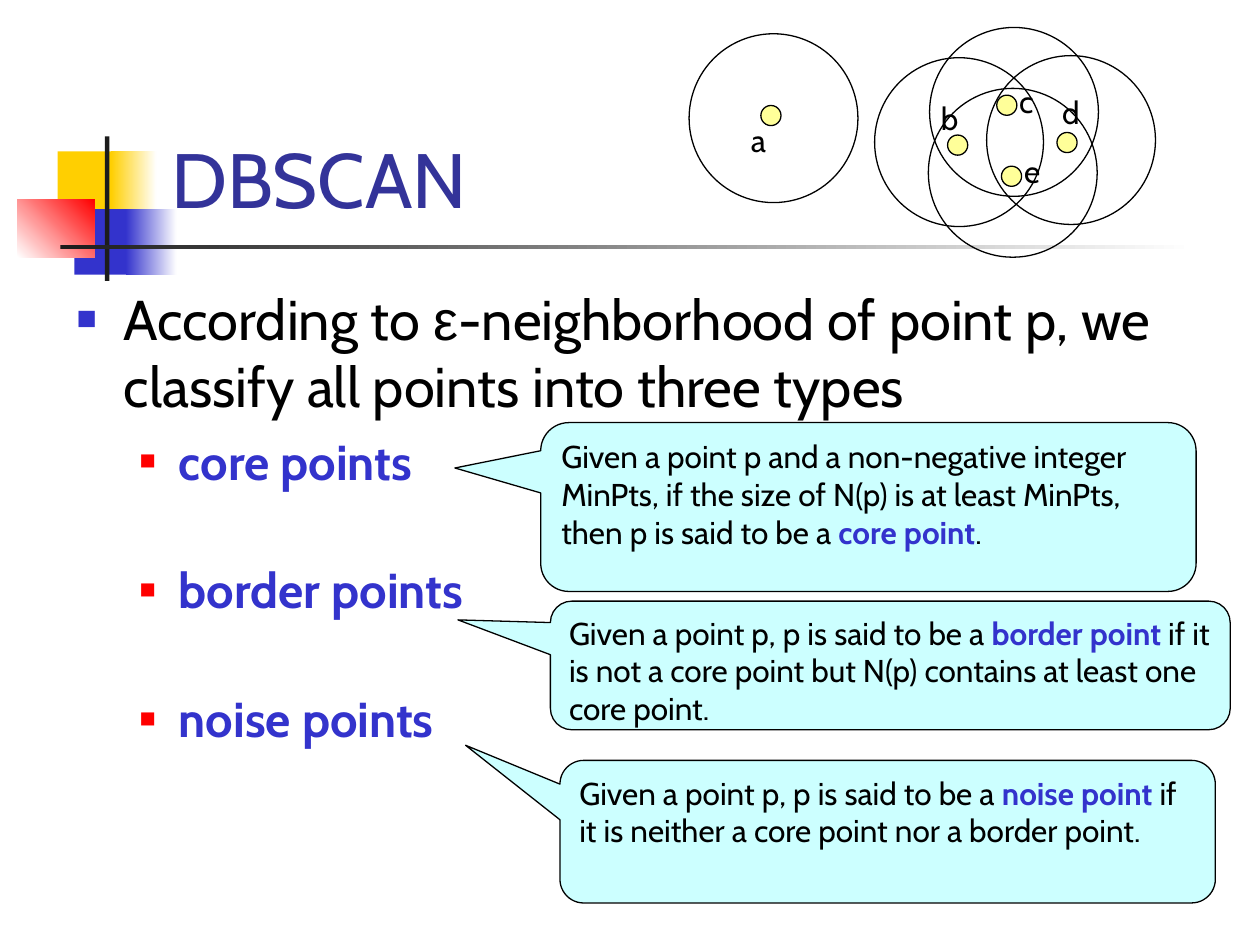
from lxml import etree
from pptx import Presentation
from pptx.dml.color import RGBColor
from pptx.enum.shapes import MSO_SHAPE
from pptx.enum.text import MSO_ANCHOR, MSO_AUTO_SIZE, PP_ALIGN
from pptx.oxml.ns import qn
from pptx.util import Pt

RECTANGLE, OVAL = MSO_SHAPE.RECTANGLE, MSO_SHAPE.OVAL
CALLOUT = MSO_SHAPE.ROUNDED_RECTANGULAR_CALLOUT
TOP, BOTTOM = MSO_ANCHOR.TOP, MSO_ANCHOR.BOTTOM
NO_FIT, GROW = MSO_AUTO_SIZE.NONE, MSO_AUTO_SIZE.SHAPE_TO_FIT_TEXT
LEFT = PP_ALIGN.LEFT

BLACK = RGBColor(0x00, 0x00, 0x00)
WHITE = RGBColor(0xFF, 0xFF, 0xFF)
CHARCOAL = RGBColor(0x1C, 0x1C, 0x1C)
GOLD = RGBColor(0xFF, 0xCF, 0x01)
BLUE = RGBColor(0x33, 0x33, 0xCC)
NAVY = RGBColor(0x33, 0x33, 0x99)
RED = RGBColor(0xFF, 0x00, 0x00)
CYAN = RGBColor(0xCC, 0xFF, 0xFF)
YELLOW = RGBColor(0xFF, 0xFF, 0x99)
FONT, GREEK_FONT = "Cabin", "Arial"


def add_text(paragraph, text, size, color=BLACK, bold=False, font=FONT):
    run = paragraph.add_run()
    run.text = text
    run.font.name = font
    run.font.size = Pt(size)
    run.font.bold = bold
    run.font.color.rgb = color


def add_outlined(kind, left, top, width, height, fill=None):
    shape = slide.shapes.add_shape(kind, Pt(left), Pt(top), Pt(width), Pt(height))
    shape.shadow.inherit = False
    shape.line.color.rgb = BLACK
    shape.line.width = Pt(0.75)
    if fill is None:
        shape.fill.background()
    else:
        shape.fill.solid()
        shape.fill.fore_color.rgb = fill
    return shape


prs = Presentation()
prs.slide_width, prs.slide_height = Pt(720), Pt(540)
slide = prs.slides.add_slide(prs.slide_layouts[5])

ornaments = [
    (33, 86.5, 34.5, 37.5, [GOLD], 0),
    (63.5, 86.5, 26, 37.5, [GOLD, WHITE], 0),
    (42.5, 119.5, 33, 37.5, [BLUE], 0),
    (72, 119.5, 29, 37.5, [BLUE, WHITE], 0),
    (10, 114, 44, 33, [WHITE, RED], 45),
    (60, 78, 2.5, 82.5, [CHARCOAL], 0),
    (34.5, 140, 648, 2.5, [CHARCOAL, WHITE], 0),
]
for left, top, width, height, colors, angle in ornaments:
    ornament = slide.shapes.add_shape(
        RECTANGLE, Pt(left), Pt(top), Pt(width), Pt(height))
    ornament.shadow.inherit = False
    ornament.line.fill.background()
    if len(colors) == 1:
        ornament.fill.solid()
        ornament.fill.fore_color.rgb = colors[0]
    else:
        ornament.fill.gradient()
        ornament.fill.gradient_angle = angle
        for stop, color in zip(ornament.fill.gradient_stops, colors):
            stop.color.rgb = color

title = slide.shapes.title
title.left, title.top, title.width, title.height = Pt(90.7), Pt(16.5), Pt(613.5), Pt(115.2)
title.text_frame.auto_size = NO_FIT
title.text_frame.vertical_anchor = BOTTOM
heading = title.text_frame.paragraphs[0]
heading.alignment = LEFT
add_text(heading, "DBSCAN", 44, NAVY)

outline = slide.shapes.add_textbox(Pt(36.7), Pt(159), Pt(668), Pt(324)).text_frame
outline.word_wrap = True
outline_items = [
    ([("According to ", FONT), ("ε", GREEK_FONT),
      ("-neighborhood of point p, we classify all points into three types", FONT)], 0, 0),
    ([("core points", FONT)], 1, 7),
    ([("border points", FONT)], 1, 40),
    ([("noise points", FONT)], 1, 40),
]
outline_levels = [
    (27, -27, BLUE, 60, 32, BLACK, False),
    (58.5, -22.5, RED, 55, 28, BLUE, True),
]
for index, (parts, level, gap) in enumerate(outline_items):
    indent, hanging, bullet_color, bullet_size, size, color, bold = outline_levels[level]
    item = outline.paragraphs[0] if index == 0 else outline.add_paragraph()
    item.level = level
    item.space_before = Pt(gap)
    properties = item._p.get_or_add_pPr()
    properties.set("marL", str(Pt(indent)))
    properties.set("indent", str(Pt(hanging)))
    bullet_fill = etree.SubElement(properties, qn("a:buClr"))
    etree.SubElement(bullet_fill, qn("a:srgbClr"), val=str(bullet_color))
    etree.SubElement(properties, qn("a:buSzPct"), val=str(bullet_size * 1000))
    etree.SubElement(properties, qn("a:buFont"), typeface=GREEK_FONT)
    etree.SubElement(properties, qn("a:buChar"), char="■")
    for text, font in parts:
        add_text(item, text, size, color, bold, font)

definitions = [
    (309, 241.5, 374.5, 96.5, (-0.631, -0.231),
     "Given a point p and a non-negative integer MinPts, if the size of N(p) "
     "is at least MinPts, then p is said to be a ", "core point", "."),
    (314.5, 343.5, 388.5, 73.5, (-0.636, -0.354),
     "Given a point p, p is said to be a ", "border point",
     " if it is not a core point but N(p) contains at least one core point."),
    (320, 434.5, 374.5, 81.5, (-0.644, -0.606),
     "Given a point p, p is said to be a ", "noise point",
     " if it is neither a core point nor a border point."),
]
for left, top, width, height, tip, before, term, after in definitions:
    callout = add_outlined(CALLOUT, left, top, width, height, CYAN)
    callout.adjustments[0], callout.adjustments[1] = tip
    callout.text_frame.word_wrap = True
    callout.text_frame.vertical_anchor = TOP
    definition = callout.text_frame.paragraphs[0]
    definition.alignment = LEFT
    add_text(definition, before, 18)
    add_text(definition, term, 18, BLUE, True)
    add_text(definition, after, 18)

NEIGHBORHOOD_SIZE, POINT_SIZE = 96.5, 11.5
points = [
    ("a", (393.8, 19.3), (434.8, 60.3), (422, 65.5)),
    ("b", (499.8, 33), (541.5, 77.2), (530.6, 53.3)),
    ("c", (531.2, 15.7), (569.6, 54.4), (575.3, 43.2)),
    ("d", (563.8, 31.8), (604, 75.7), (599.8, 49.7)),
    ("e", (530.5, 50.5), (572.3, 95), (578.2, 83.5)),
]
for name, neighborhood, point, label_corner in points:
    add_outlined(OVAL, *neighborhood, NEIGHBORHOOD_SIZE, NEIGHBORHOOD_SIZE)
    add_outlined(OVAL, *point, POINT_SIZE, POINT_SIZE, YELLOW)
    label_left, label_top = label_corner
    label = slide.shapes.add_textbox(
        Pt(label_left), Pt(label_top), Pt(24.5), Pt(29)).text_frame
    label.word_wrap = False
    label.auto_size = GROW
    add_text(label.paragraphs[0], name, 18)

prs.save("out.pptx")
